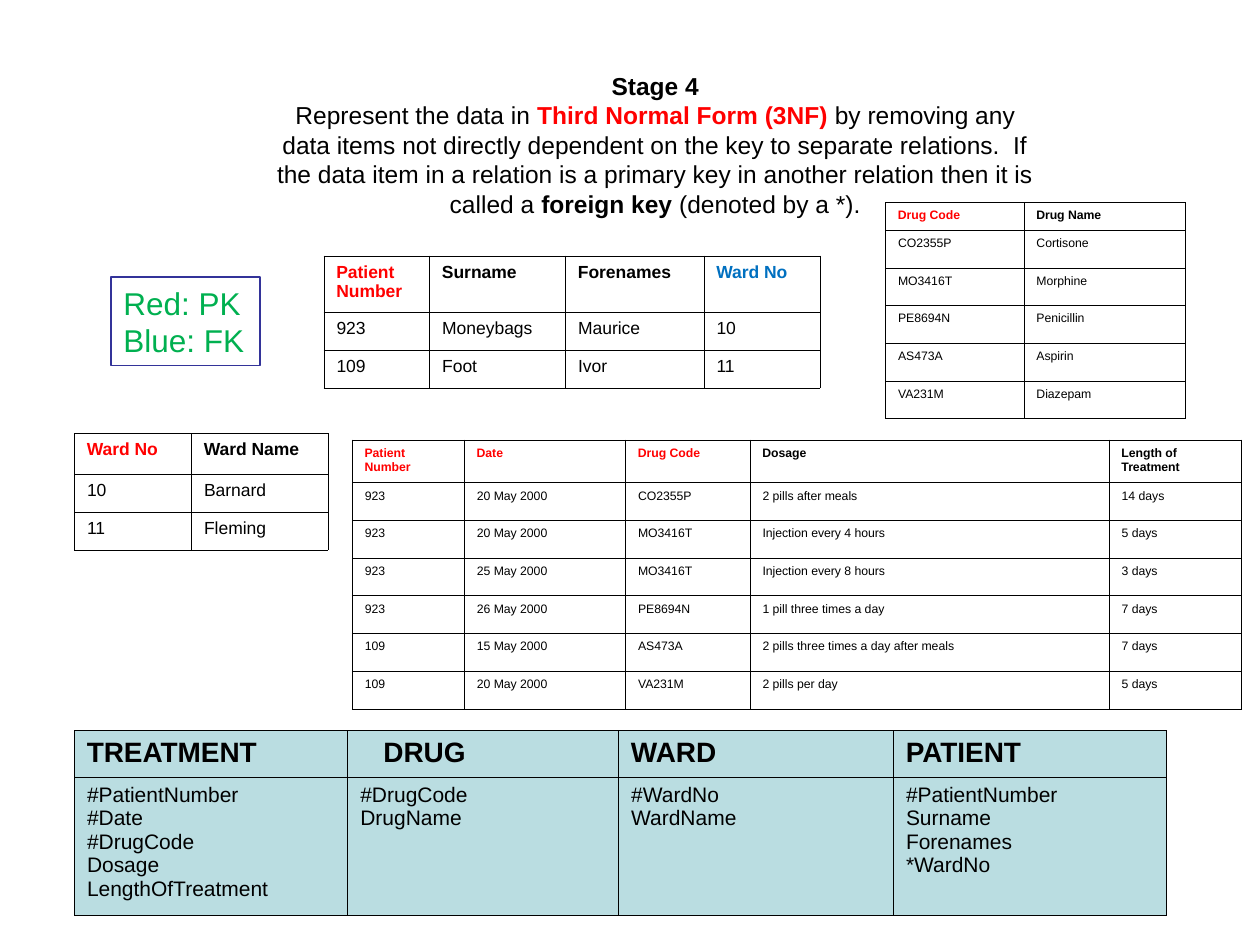
from lxml import etree
from pptx import Presentation
from pptx.dml.color import RGBColor
from pptx.enum.shapes import MSO_SHAPE
from pptx.enum.text import MSO_ANCHOR, PP_ALIGN
from pptx.oxml import parse_xml
from pptx.util import Cm, Pt

RECTANGLE = MSO_SHAPE.RECTANGLE
MIDDLE = MSO_ANCHOR.MIDDLE
LEFT, CENTER = PP_ALIGN.LEFT, PP_ALIGN.CENTER

BLACK, RED, BLUE, GREEN = "000000", "FF0000", "0070C0", "00B050"
NAVY, WHITE, TEAL = "333399", "FFFFFF", "BADDE1"
DRAWING_NS = "http://schemas.openxmlformats.org/drawingml/2006/main"


def rgb(hex_color):
    return RGBColor.from_string(hex_color)


def style_run(run, size, color=BLACK, bold=False):
    font_format = {"name": "Arial", "size": Pt(size), "bold": bold}
    for attribute, value in font_format.items():
        setattr(run.font, attribute, value)
    run.font.color.rgb = rgb(color)


prs = Presentation()
prs.slide_width, prs.slide_height = Cm(25.4), Cm(19.05)
slide = prs.slides.add_slide(prs.slide_layouts[6])

# Stage heading
heading = slide.shapes.add_textbox(Cm(5.31), Cm(1.3), Cm(15.8), Cm(3.23)).text_frame
heading.word_wrap = True
heading.vertical_anchor = MIDDLE
heading_lines = [
    [("Stage 4", BLACK, True)],
    [
        ("Represent the data in ", BLACK, False),
        ("Third Normal Form (3NF) ", RED, True),
        ("by removing any data items not directly dependent on the key to "
         "separate relations.  If the data item in a relation is a primary key "
         "in another relation then it is called a ", BLACK, False),
        ("foreign key", BLACK, True),
        (" (denoted by a *).", BLACK, False),
    ],
]
for index, pieces in enumerate(heading_lines):
    paragraph = heading.add_paragraph() if index else heading.paragraphs[0]
    paragraph.alignment = CENTER
    for words, color, bold in pieces:
        run = paragraph.add_run()
        run.text = words
        style_run(run, 14, color, bold)

# Relations: the first row holds the attribute names, red for PK and blue for FK
relations = [
    {  # patient
        "at": (6.53, 5.16), "widths": (2.13, 2.74, 2.79, 2.34), "heights": (1.14, 0.76),
        "sizes": (10, 10), "key_colors": {0: RED, 3: BLUE},
        "rows": [
            ("Patient Number", "Surname", "Forenames", "Ward No"),
            ("923", "Moneybags", "Maurice", "10"),
            ("109", "Foot", "Ivor", "11"),
        ],
    },
    {  # ward
        "at": (1.5, 8.74), "widths": (2.36, 2.75), "heights": (0.83, 0.76),
        "sizes": (10, 10), "key_colors": {0: RED},
        "rows": [("Ward No", "Ward Name"), ("10", "Barnard"), ("11", "Fleming")],
    },
    {  # schema of all four relations
        "at": (1.5, 14.73), "widths": (5.51, 5.46, 5.54, 5.51), "heights": (0.93, 2.8),
        "sizes": (16, 12), "key_colors": {}, "fill": TEAL,
        "header_indents": {1: 0.47},
        "rows": [
            ("TREATMENT", "DRUG", "WARD", "PATIENT"),
            ("#PatientNumber\n#Date\n#DrugCode\nDosage\nLengthOfTreatment",
             "#DrugCode\nDrugName",
             "#WardNo\nWardName",
             "#PatientNumber\nSurname\nForenames\n*WardNo"),
        ],
    },
    {  # drug
        "at": (17.85, 4.08), "widths": (2.79, 3.25), "heights": (0.56, 0.76),
        "sizes": (7, 7), "key_colors": {0: RED},
        "rows": [
            ("Drug Code", "Drug Name"),
            ("CO2355P", "Cortisone"),
            ("MO3416T", "Morphine"),
            ("PE8694N", "Penicillin"),
            ("AS473A", "Aspirin"),
            ("VA231M", "Diazepam"),
        ],
    },
    {  # treatment
        "at": (7.1, 8.87), "widths": (2.26, 3.25, 2.51, 7.24, 2.67), "heights": (0.86, 0.76),
        "sizes": (7, 7), "key_colors": {0: RED, 1: RED, 2: RED},
        "rows": [
            ("Patient Number", "Date", "Drug Code", "Dosage", "Length of Treatment"),
            ("923", "20 May 2000", "CO2355P", "2 pills after meals", "14 days"),
            ("923", "20 May 2000", "MO3416T", "Injection every 4 hours", "5 days"),
            ("923", "25 May 2000", "MO3416T", "Injection every 8 hours", "3 days"),
            ("923", "26 May 2000", "PE8694N", "1 pill three times a day", "7 days"),
            ("109", "15 May 2000", "AS473A", "2 pills three times a day after meals", "7 days"),
            ("109", "20 May 2000", "VA231M", "2 pills per day", "5 days"),
        ],
    },
]

for relation in relations:
    rows, widths = relation["rows"], relation["widths"]
    header_height, body_height = relation["heights"]
    left, top = relation["at"]
    table = slide.shapes.add_table(
        len(rows), len(widths), Cm(left), Cm(top), Cm(sum(widths)),
        Cm(header_height + body_height * (len(rows) - 1)),
    ).table
    table.horz_banding = False
    for column, width in zip(table.columns, widths):
        column.width = Cm(width)
    for r, values in enumerate(rows):
        is_header = r == 0
        table.rows[r].height = Cm(header_height if is_header else body_height)
        for c, value in enumerate(values):
            cell = table.cell(r, c)
            cell.text = value
            color = relation["key_colors"].get(c, BLACK) if is_header else BLACK
            for paragraph in cell.text_frame.paragraphs:
                style_run(paragraph.runs[0], relation["sizes"][min(r, 1)], color, is_header)
            if is_header:
                indent = relation.get("header_indents", {}).get(c, 0)
                cell.margin_left = Cm(0.25 + indent)

            properties = cell._tc.get_or_add_tcPr()
            for side in ("lnL", "lnR", "lnT", "lnB"):
                border = etree.Element(f"{{{DRAWING_NS}}}{side}", w=str(Pt(0.45)))
                border.append(parse_xml(
                    f'<a:solidFill xmlns:a="{DRAWING_NS}"><a:srgbClr val="{BLACK}"/></a:solidFill>'
                ))
                properties.append(border)
            if "fill" in relation:
                cell.fill.solid()
                cell.fill.fore_color.rgb = rgb(relation["fill"])
            else:
                cell.fill.background()

# Key to the colours
legend = slide.shapes.add_shape(RECTANGLE, Cm(2.24), Cm(5.59), Cm(3), Cm(1.78))
legend.shadow.inherit = False
legend.fill.solid()
legend.fill.fore_color.rgb = rgb(WHITE)
legend.line.color.rgb = rgb(NAVY)
legend.line.width = Pt(1)
legend.text_frame.text = "Red: PK\nBlue: FK"
legend.text_frame.word_wrap = True
legend.text_frame.vertical_anchor = MIDDLE
for paragraph in legend.text_frame.paragraphs:
    paragraph.alignment = LEFT
    style_run(paragraph.runs[0], 18, GREEN)

prs.save("out.pptx")
